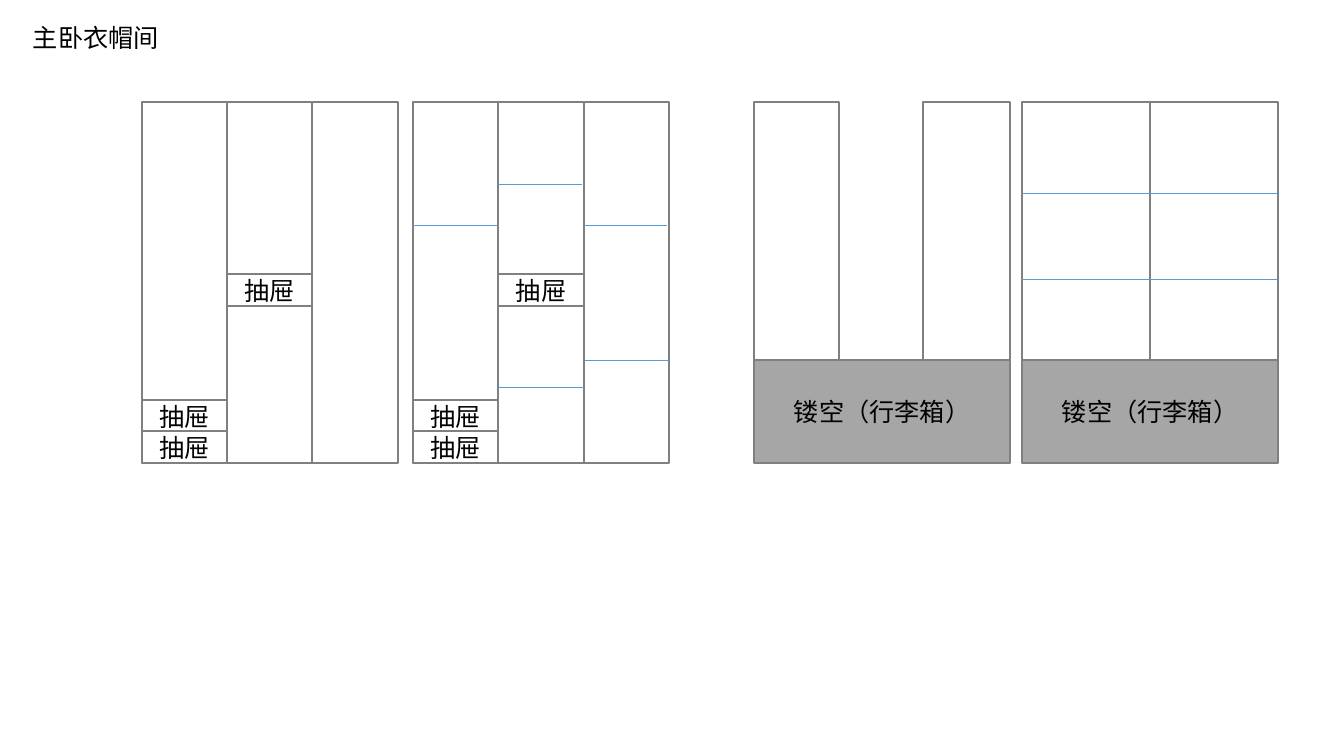
"""Builds the wardrobe layout slide for the master bedroom."""
from pptx import Presentation
from pptx import util as u
from pptx.dml.color import RGBColor
from pptx.enum import shapes, text
from pptx.oxml.ns import qn
from lxml import etree

WHITE = RGBColor(0xFF, 0xFF, 0xFF)
BLACK = RGBColor(0, 0, 0)
FRAME = RGBColor(0x80, 0x80, 0x80)
GREY = RGBColor(0xA6, 0xA6, 0xA6)
BLUE = RGBColor(0x5B, 0x9B, 0xD5)

TITLE = "主卧衣帽间"
DRAWER = "抽屉"
LUGGAGE = "镂空（行李箱）"

TOP, BASE, BOTTOM = 102, 360, 463
DRAWER_H = 32
DRAWER_WARDROBES = [(142, 227, 312, 398), (413, 498, 584, 669)]
DRAWERS = [(0, 400), (1, 274), (0, 431)]
LUGGAGE_WARDROBES = [
    [(754, 839), (923, 1010)],
    [(1022, 1150), (1150, 1278)],
]
SHELVES = [
    (413, 498, 225),
    (585, 669, 360),
    (584, 667, 225),
    (498, 582, 184),
    (499, 584, 387),
    (1022, 1278, 193),
    (1022, 1277, 279),
]


def px(n):
    return u.Inches(n / 100.8)


def write(tf, words, font):
    tf.text = words
    f = tf.paragraphs[0].runs[0].font
    f.name, f.size = font, u.Pt(18)
    f.color.rgb = BLACK


def panel(left, top, right, bottom, fill=WHITE, label=None):
    sp = s.shapes.add_shape(shapes.MSO_SHAPE.RECTANGLE, px(left), px(top),
                            px(right - left), px(bottom - top))
    sp.shadow.inherit = False
    sp.fill.solid()
    sp.fill.fore_color.rgb = fill
    sp.line.color.rgb = FRAME
    sp.line.width = u.Pt(1.5)
    if label:
        tf = sp.text_frame
        tf.vertical_anchor = text.MSO_ANCHOR.MIDDLE
        write(tf, label, "Calibri")
        tf.paragraphs[0].alignment = text.PP_ALIGN.CENTER


def shelf(left, right, y):
    line = s.shapes.add_connector(shapes.MSO_CONNECTOR.STRAIGHT,
                                  px(left), px(y), px(right), px(y))
    line.line.color.rgb = BLUE
    line.line.width = u.Pt(0.5)
    etree.SubElement(line._element.spPr, qn("a:effectLst"))


prs = Presentation()
prs.slide_width, prs.slide_height = px(1344), px(756)
s = prs.slides.add_slide(prs.slide_layouts[6])

title = s.shapes.add_textbox(px(23), px(17), px(147), px(40))
title.text_frame.word_wrap = False
title.text_frame.auto_size = text.MSO_AUTO_SIZE.SHAPE_TO_FIT_TEXT
write(title.text_frame, TITLE, "Noto Sans CJK SC")

for edges in DRAWER_WARDROBES:
    for left, right in zip(edges, edges[1:]):
        panel(left, TOP, right, BOTTOM)
    for col, y in DRAWERS:
        panel(edges[col], y, edges[col + 1], y + DRAWER_H, label=DRAWER)

for columns in LUGGAGE_WARDROBES:
    for left, right in columns:
        panel(left, TOP, right, BASE)
    panel(columns[0][0], BASE, columns[-1][1], BOTTOM, GREY, LUGGAGE)

for left, right, y in SHELVES:
    shelf(left, right, y)

prs.save("out.pptx")
